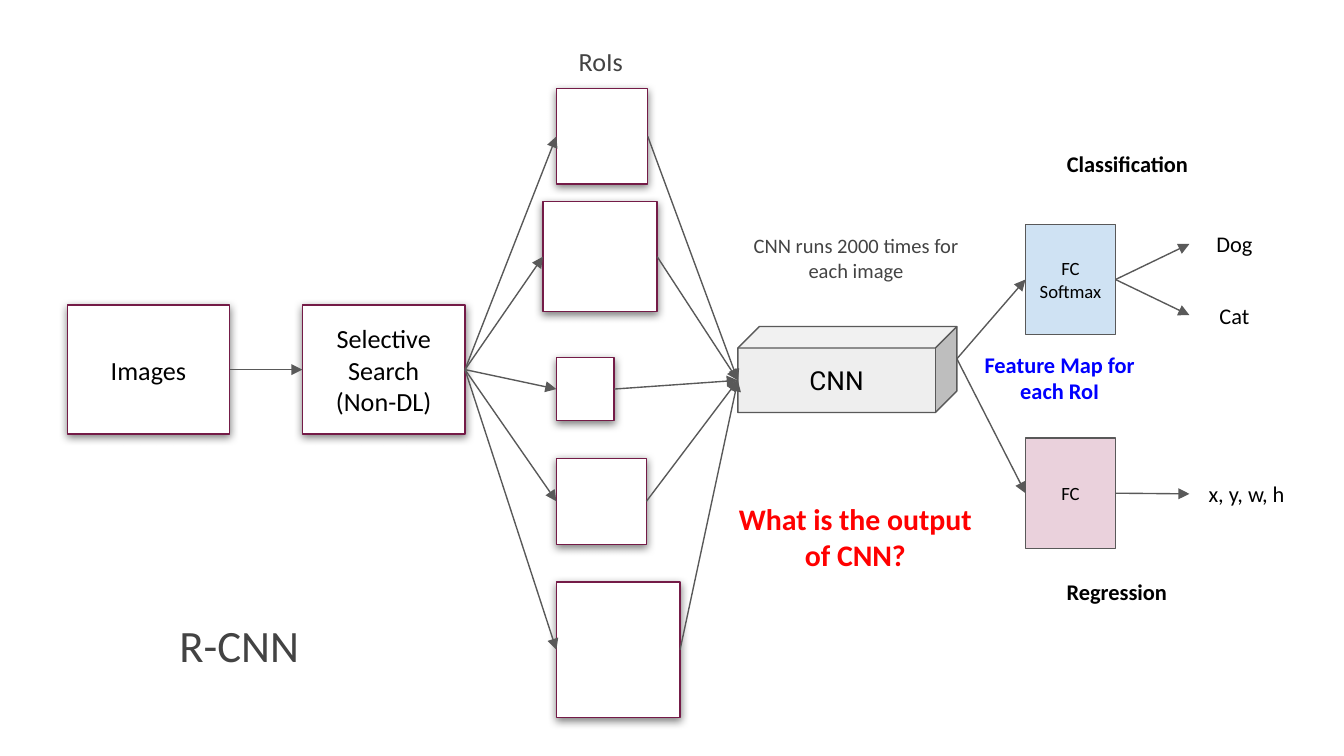
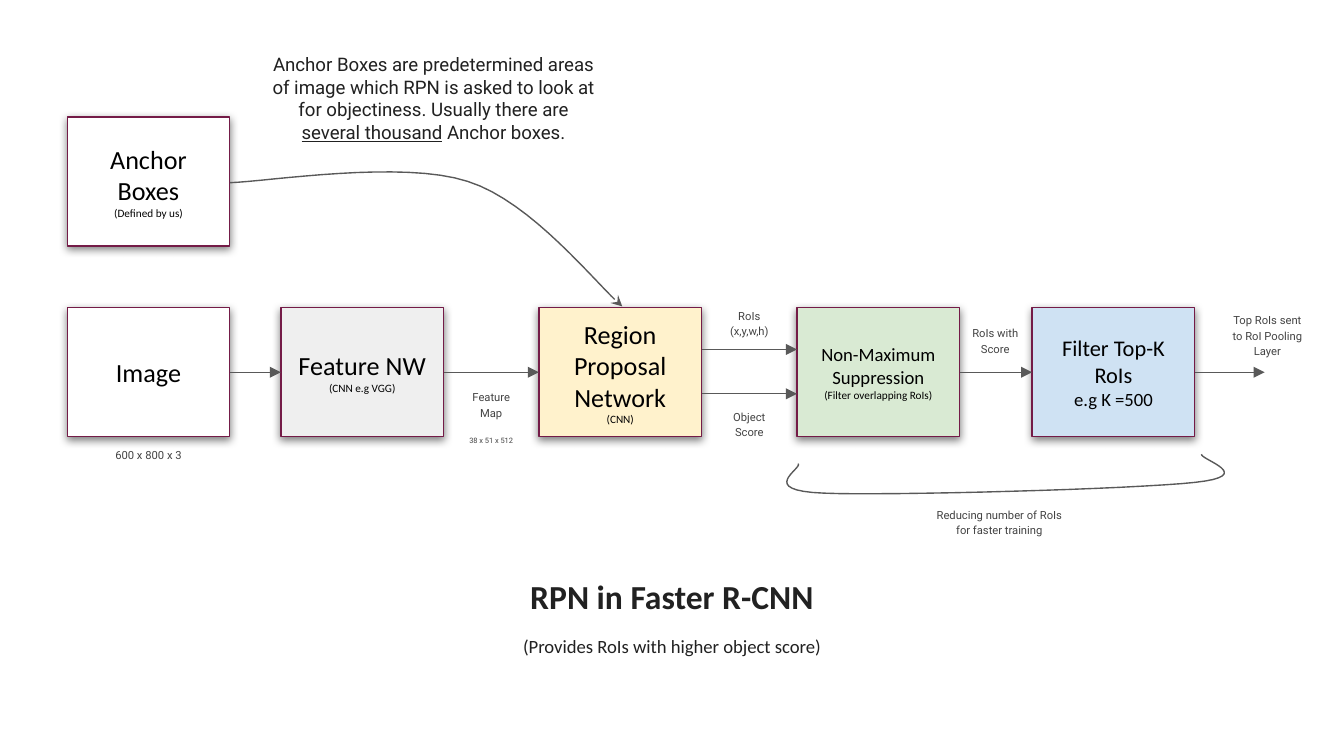
"""Build two diagram slides: the R-CNN pipeline and the region proposal network."""
from dataclasses import dataclass
from typing import Optional, Union

from lxml import etree
from pptx import Presentation
from pptx import util as u
from pptx.dml.color import RGBColor
from pptx.enum import shapes, text
from pptx.oxml import parse_xml
from pptx.oxml.ns import nsdecls, qn
from pptx.shapes.autoshape import Shape
from pptx.shapes.connector import Connector
from pptx.slide import Slide

WIDTH, HEIGHT = u.Inches(10), u.Inches(5.625)
COLUMNS, ROWS = 100, 56.25
COLORS = {
    "white": "FFFFFF", "black": "000000", "ink": "212121", "gray": "434343",
    "line": "595959", "plum": "741B47", "red": "FF0000", "blue": "0000FF",
    "silver": "EEEEEE", "mist": "EFEFEF", "sky": "CFE2F3", "rose": "EAD1DC",
    "cream": "FFF2CC", "mint": "D9EAD3",
}
STEP_WIDTH, STEP_HEIGHT = 12.1, 9.6
LEFT_SITE, RIGHT_SITE = 1, 3
CURVE_STEPS = 16
Point = tuple[float, float]
End = Union[Shape, Point]


@dataclass(frozen=True)
class Line:
    """One paragraph; words between underscores are underlined."""
    words: str
    size: float
    color: str = "black"
    bold: bool = False
    font: str = "Calibri"
    spacing: Optional[float] = None
    before: float = 0


@dataclass(frozen=True)
class Block:
    """A text area on the grid, with a shape around it if it has a fill."""
    left: float
    top: float
    width: float
    height: float
    lines: tuple[Line, ...] = ()
    fill: Optional[str] = None
    border: str = "line"
    preset: shapes.MSO_SHAPE = shapes.MSO_SHAPE.RECTANGLE
    raised: bool = False
    at_top: bool = False


def column(count: float) -> int:
    """Turn grid columns into a length."""
    return u.Emu(round(WIDTH * count / COLUMNS))


def row(count: float) -> int:
    """Turn grid rows into a length."""
    return u.Emu(round(HEIGHT * count / ROWS))


def rgb(name: str) -> RGBColor:
    """Look up a palette colour."""
    return RGBColor.from_string(COLORS[name])


def step(left: float, top: float, *lines: Line, fill: str = "white") -> Block:
    """Describe one raised pipeline step."""
    return Block(left, top, STEP_WIDTH, STEP_HEIGHT, lines, fill, "plum", raised=True)


def region(left: float, top: float, width: float, height: float) -> Block:
    """Describe one raised, empty region of interest."""
    return Block(left, top, width, height, (), "white", "plum", raised=True)


def caption(left: float, top: float, width: float, height: float, *words: str) -> Block:
    """Describe a small gray caption."""
    lines = tuple(Line(item, 6, "gray", font="Roboto", spacing=1.15) for item in words)
    return Block(left, top, width, height, lines)


def write(box: Shape, block: Block) -> None:
    """Fill a shape with the block's paragraphs."""
    frame = box.text_frame
    frame.word_wrap = True
    frame.vertical_anchor = text.MSO_ANCHOR.TOP if block.at_top else text.MSO_ANCHOR.MIDDLE
    frame.margin_left = frame.margin_right = u.Inches(0.1)
    frame.margin_top = frame.margin_bottom = u.Inches(0.1)
    for index, line in enumerate(block.lines):
        para = frame.add_paragraph() if index else frame.paragraphs[0]
        para.alignment = text.PP_ALIGN.CENTER
        if line.spacing:
            para.line_spacing = line.spacing
        if line.before:
            para.space_before = u.Pt(line.before)
        para.font.size = u.Pt(line.size)
        para.font.name = line.font
        para.font.bold = line.bold
        para.font.color.rgb = rgb(line.color)
        for order, words in enumerate(line.words.split("_")):
            span = para.add_run()
            span.text = words
            if order % 2:
                span.font.underline = True


def add_shadow(box: Shape) -> None:
    """Give a shape a soft shadow straight below it."""
    effects = box._element.spPr.find(qn("a:effectLst"))
    effects.append(parse_xml(
        f'<a:outerShdw {nsdecls("a")} blurRad="{u.Pt(4.5)}" dist="{u.Pt(1.5)}" '
        'dir="5400000" algn="bl" rotWithShape="0">'
        f'<a:srgbClr val="{COLORS["black"]}"><a:alpha val="50000"/></a:srgbClr></a:outerShdw>'))


def draw(page: Slide, block: Block) -> Shape:
    """Draw a block and return its shape."""
    place = column(block.left), row(block.top), column(block.width), row(block.height)
    if block.fill:
        box = page.shapes.add_shape(block.preset, *place)
        box.fill.solid()
        box.fill.fore_color.rgb = rgb(block.fill)
        box.line.color.rgb = rgb(block.border)
        box.line.width = u.Pt(0.75)
        box.shadow.inherit = False
        if block.raised:
            add_shadow(box)
    else:
        box = page.shapes.add_textbox(*place)
    write(box, block)
    return box


def style_line(item: Union[Shape, Connector], head: Optional[str]) -> None:
    """Apply the shared thin line and an optional arrowhead."""
    item.line.color.rgb = rgb("line")
    item.line.width = u.Pt(0.75)
    if head:
        outline = item.line._get_or_add_ln()
        etree.SubElement(outline, qn("a:tailEnd"), type=head, w="med", len="med")


def arrow(page: Slide, start: End, end: End) -> None:
    """Draw an arrow from a right side or point to a left side or point."""
    begin = start if isinstance(start, tuple) else (0, 0)
    finish = end if isinstance(end, tuple) else (0, 0)
    link = page.shapes.add_connector(
        shapes.MSO_CONNECTOR.STRAIGHT,
        column(begin[0]), row(begin[1]), column(finish[0]), row(finish[1]))
    if isinstance(start, Shape):
        link.begin_connect(start, RIGHT_SITE)
    if isinstance(end, Shape):
        link.end_connect(end, LEFT_SITE)
    style_line(link, "triangle")
    etree.SubElement(link._element.spPr, qn("a:effectLst"))


def curve(page: Slide, points: list[Point], head: Optional[str] = None) -> None:
    """Draw joined cubic curves through every third point."""
    trace = []
    for first in range(0, len(points) - 1, 3):
        controls = points[first:first + 4]
        for count in range(1, CURVE_STEPS + 1):
            share = count / CURVE_STEPS
            rest = 1 - share
            weights = rest ** 3, 3 * rest ** 2 * share, 3 * rest * share ** 2, share ** 3
            across, down = (
                sum(weight * spot[axis] for weight, spot in zip(weights, controls))
                for axis in (0, 1))
            trace.append((column(across), row(down)))
    builder = page.shapes.build_freeform(column(points[0][0]), row(points[0][1]))
    builder.add_line_segments(trace, close=False)
    path_shape = builder.convert_to_shape()
    path_shape.fill.background()
    path_shape.shadow.inherit = False
    style_line(path_shape, head)


def build_rcnn(page: Slide) -> None:
    """Draw the R-CNN pipeline."""
    images = draw(page, step(5, 22.7, Line("Images", 14)))
    search = draw(page, step(22.5, 22.7, Line("Selective Search", 14), Line("(Non-DL)", 14)))
    draw(page, Block(54.9, 24.3, 16.3, 6.4, (Line("CNN", 14, font="Roboto"),),
                     "silver", preset=shapes.MSO_SHAPE.CUBE))
    network_in, network_out = (54.9, 28.3), (71.2, 26.7)
    softmax = draw(page, Block(76.3, 16.7, 6.7, 8.2, (Line("FC Softmax", 10),), "sky"))
    regressor = draw(page, Block(76.3, 32.6, 6.7, 8.2, (Line("FC", 10),), "rose"))

    arrow(page, images, search)
    for head in (softmax, regressor):
        arrow(page, network_out, head)
    outputs = [(softmax, "Dog", 16.7, 6.7), (softmax, "Cat", 22, 6.7),
               (regressor, "x, y, w, h", 35.3, 8.5)]
    for source, words, top, width in outputs:
        arrow(page, source, draw(page, Block(88.5, top, width, 2.9, (Line(words, 12),))))

    for place in [(41.4, 6.6, 6.8, 7.1), (40.4, 15, 8.5, 8.2), (41.4, 26.6, 4.3, 4.7),
                  (41.4, 34.1, 6.7, 6.4), (41.4, 43.3, 9.2, 10.1)]:
        roi = draw(page, region(*place))
        arrow(page, search, roi)
        arrow(page, roi, network_in)

    for label in [
        Block(77.6, 10.7, 12.6, 2.9, (Line("Classification", 12, bold=True),)),
        Block(76.8, 42.6, 12.6, 2.9, (Line("Regression", 12, bold=True),)),
        Block(1.6, 45.6, 32.4, 4.7, (Line("R-CNN", 24, "gray"),)),
        Block(36.3, 2.4, 16.8, 4.7, (Line("RoIs", 14, "gray"),), at_top=True),
        Block(54.7, 15.2, 18, 8, (Line("CNN runs 2000 times for each image", 11, "gray"),)),
        Block(52.8, 35.9, 21.7, 8, (Line("What is the output of CNN?", 16, "red", True),)),
        Block(71.2, 24.1, 15.3, 8, (Line("Feature Map for each RoI", 12, "blue", True),)),
    ]:
        draw(page, label)


def build_rpn(page: Slide) -> None:
    """Draw the region proposal network."""
    top = 22.9
    middle = top + STEP_HEIGHT / 2
    image, features, proposal, suppression, top_k = (draw(page, item) for item in [
        step(5, top, Line("Image", 14)),
        step(20.9, top, Line("Feature NW", 14), Line("(CNN e.g VGG)", 6), fill="mist"),
        step(40.1, top, Line("Region Proposal Network", 14), Line("(CNN)", 6), fill="cream"),
        step(59.3, top, Line("Non-Maximum", 10), Line("Suppression", 10),
             Line("(Filter overlapping RoIs)", 6), fill="mint"),
        step(76.8, top, Line("Filter Top-K RoIs", 12), Line("e.g K =500", 10), fill="sky"),
    ])
    draw(page, step(5, 8.7, Line("Anchor Boxes", 14), Line("(Defined by us)", 6)))

    for start, end in [(image, features), (features, proposal), (suppression, top_k),
                       (top_k, (94.1, middle))]:
        arrow(page, start, end)
    for level in (26, 29.3):
        arrow(page, (52.2, level), (59.3, level))
    curve(page, [(17.1, 13.6), (20, 13.5), (29.9, 11.9), (34.8, 13.5),
                 (39.6, 15), (44.4, 21.2), (46.3, 22.8)], "stealth")
    curve(page, [(59.4, 34.5), (59.7, 34.9), (56.3, 36.5), (61.3, 36.7), (66.2, 36.9),
                 (84.3, 36.4), (88.9, 35.9), (93.6, 35.4), (89.3, 34.2), (89.4, 33.8)])

    for label in [
        Block(28.3, 38.8, 43.4, 14.2, (
            Line("RPN in Faster R-CNN", 18, "ink", True),
            Line("(Provides RoIs with higher object score)", 10, "ink", before=10))),
        Block(19.1, 0.2, 26.3, 14.2, (
            Line("Anchor Boxes are predetermined areas of image which RPN is asked to look at "
                 "for objectiness. Usually there are _several thousand_ Anchor boxes.",
                 10, "ink", font="Roboto"),)),
        Block(33.6, 28.5, 5.9, 5, (
            Line("Feature Map", 6, "gray", font="Roboto", spacing=1.15),
            Line("38 x 51 x 512", 4, "gray", font="Roboto", spacing=1.15, before=8))),
        caption(52.8, 22, 5.9, 4, "RoIs (x,y,w,h)"),
        caption(52.8, 29.5, 5.9, 4, "Object Score"),
        caption(71.1, 22.9, 5.9, 4.8, "RoIs with Score"),
        caption(90.5, 22.9, 7.6, 4, "Top RoIs sent to RoI Pooling Layer"),
        caption(5, 31.8, 12.1, 4, "600 x 800 x 3"),
        caption(68.3, 36.8, 12.1, 4, "Reducing number of RoIs for faster training"),
    ]:
        draw(page, label)


def main() -> None:
    """Build and save the deck."""
    deck = Presentation()
    deck.slide_width, deck.slide_height = WIDTH, HEIGHT
    for build in (build_rcnn, build_rpn):
        build(deck.slides.add_slide(deck.slide_layouts[6]))
    deck.save("out.pptx")


if __name__ == "__main__":
    main()
